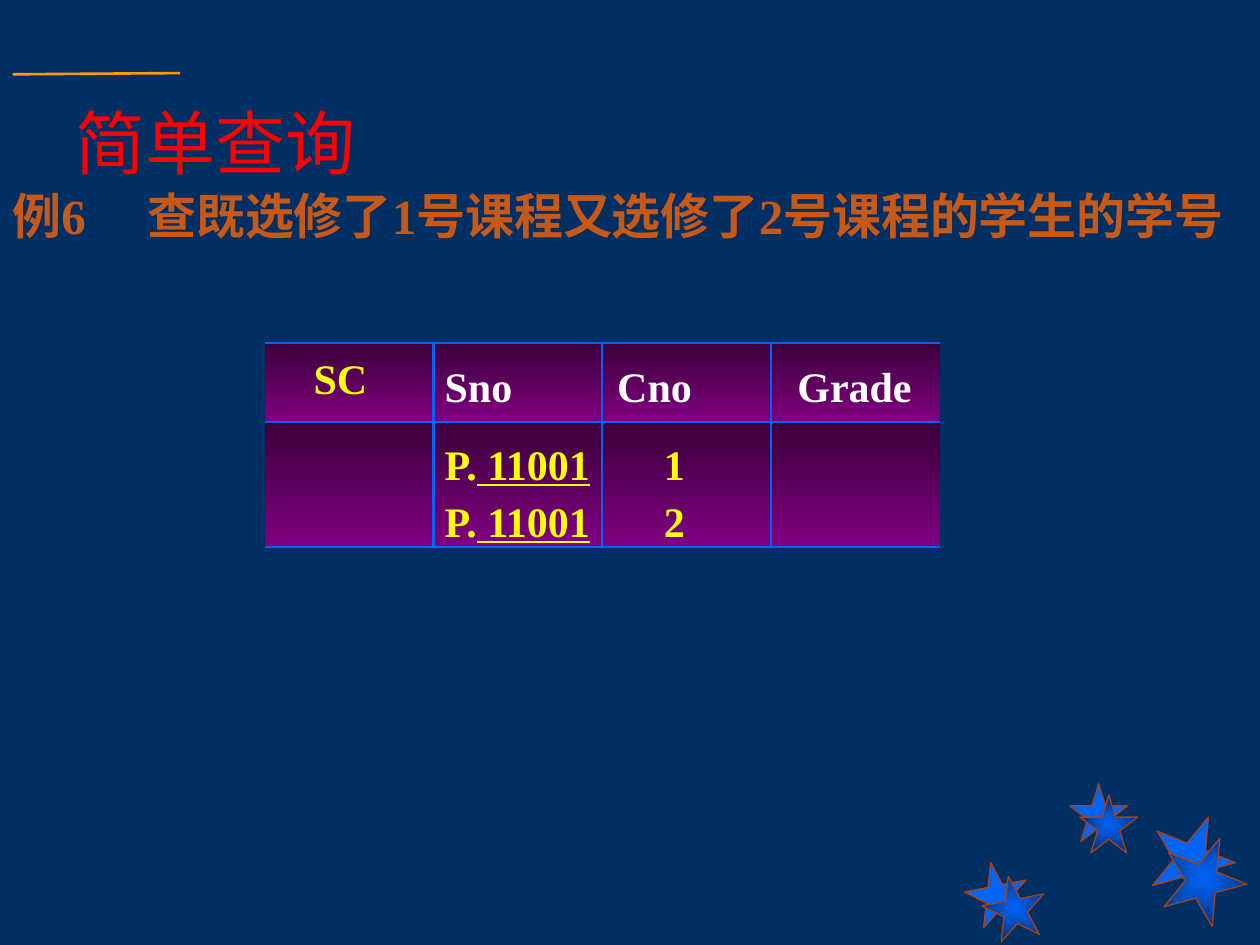
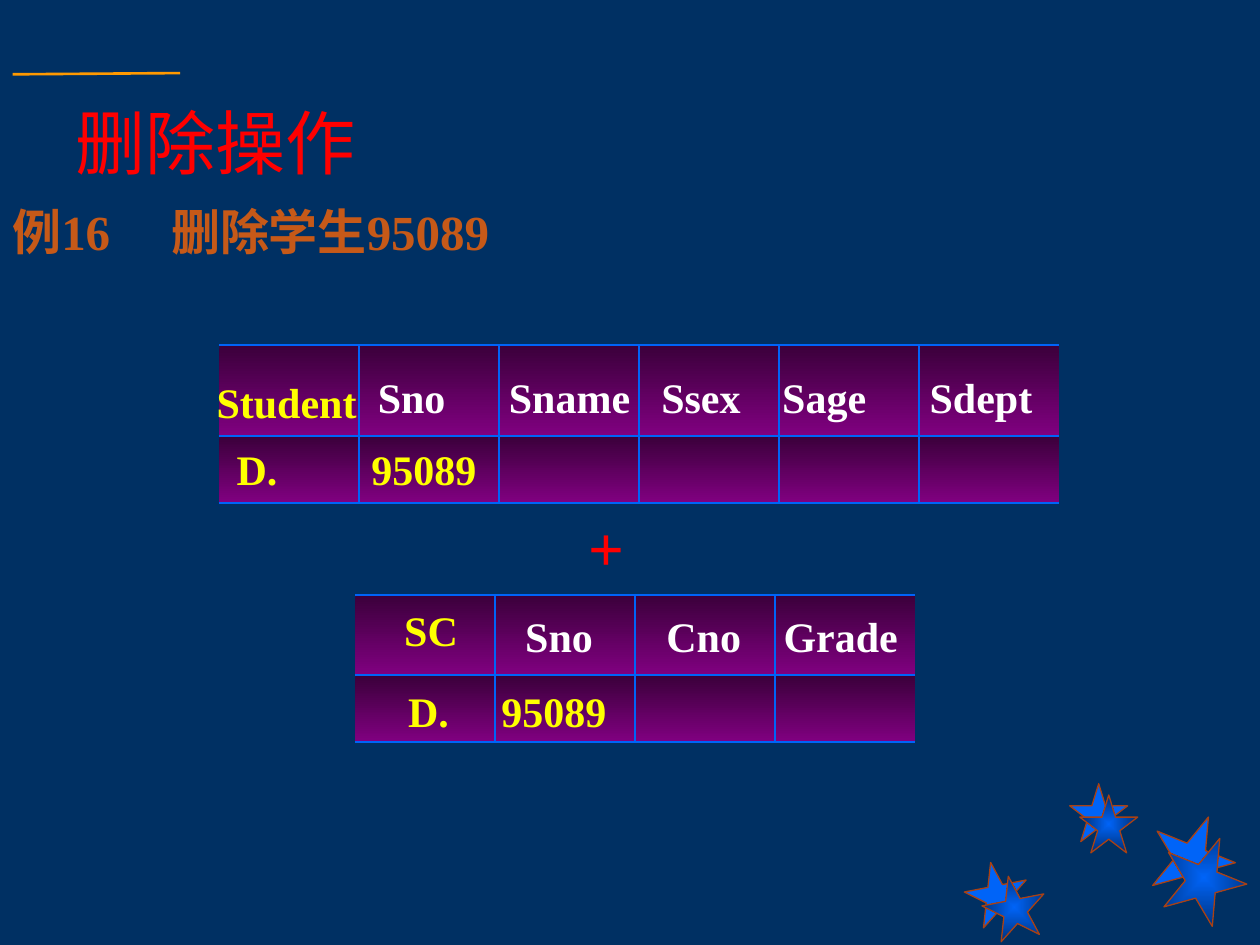
import pptx
import pptx.dml.color
import pptx.enum.shapes
import pptx.enum.text
import pptx.oxml
import pptx.oxml.ns
import pptx.util
from dataclasses import dataclass

COLUMNS, ROWS = 100, 75  # grid over the whole slide


@dataclass(frozen=True)
class Theme:
    font: str = "Times New Roman"
    background: str = "003063"
    title: str = "FF0000"
    example: str = "C65918"
    field: str = "FFFFFF"
    entry: str = "FFFF00"
    blue: str = "0064F8"
    star_edge: str = "002E72"
    star_outline: str = "A94113"
    rule: str = "FF9900"
    cell_top: str = "3B003B"
    cell_bottom: str = "800080"
    title_size: int = 40
    plus_size: int = 36
    example_size: int = 28
    table_size: int = 24
    star_line: float = 0.75
    rule_line: float = 1.5
    border: float = 1.47


def rgb(color):
    return pptx.dml.color.RGBColor.from_string(color)


def drawing_xml(tag, content="", attributes=""):
    """Build one DrawingML element."""
    namespace = pptx.oxml.ns.nsdecls("a")
    return pptx.oxml.parse_xml(f"<a:{tag} {namespace} {attributes}>{content}</a:{tag}>")


def gradient(start, end, direction):
    stops = "".join(
        f'<a:gs pos="{position}"><a:srgbClr val="{color}"/></a:gs>'
        for position, color in ((0, start), (100000, end)))
    return drawing_xml("gradFill", f"<a:gsLst>{stops}</a:gsLst>{direction}")


DOWNWARD = '<a:lin ang="5400000" scaled="0"/>'
FROM_CENTRE = ('<a:path path="rect"><a:fillToRect l="50000" t="50000" '
               'r="50000" b="50000"/></a:path>')


class Deck:
    def __init__(self, theme):
        self.theme = theme
        self.presentation = pptx.Presentation()
        self.presentation.slide_width = pptx.util.Inches(10)
        self.presentation.slide_height = pptx.util.Inches(7.5)
        self.slide = None
        fill = self.presentation.slide_master.background.fill
        fill.solid()
        fill.fore_color.rgb = rgb(theme.background)

    def x(self, columns):
        return round(self.presentation.slide_width * columns / COLUMNS)

    def y(self, rows):
        return round(self.presentation.slide_height * rows / ROWS)

    def box(self, left, top, width, height):
        return self.x(left), self.y(top), self.x(width), self.y(height)

    def add_runs(self, paragraph, runs, size, color, bold=True):
        """Runs are plain text or (text, underlined) pairs."""
        for part in [runs] if isinstance(runs, str) else runs:
            text, underlined = (part, False) if isinstance(part, str) else part
            run = paragraph.add_run()
            run.text = text
            run.font.color.rgb = rgb(color)
            style = {"name": self.theme.font, "size": pptx.util.Pt(size),
                     "bold": bold, "underline": underlined}
            for name, value in style.items():
                setattr(run.font, name, value)

    # Slide with its title and the short rule above it
    def new_slide(self, title):
        theme = self.theme
        self.slide = self.presentation.slides.add_slide(
            self.presentation.slide_layouts[5])
        shape = self.slide.shapes.title
        place = zip(("left", "top", "width", "height"), self.box(5, 6, 95, 10.4))
        for name, value in place:
            setattr(shape, name, value)
        frame_style = {"vertical_anchor": pptx.enum.text.MSO_ANCHOR.MIDDLE,
                       "auto_size": pptx.enum.text.MSO_AUTO_SIZE.NONE,
                       "word_wrap": True}
        for name, value in frame_style.items():
            setattr(shape.text_frame, name, value)
        paragraph = shape.text_frame.paragraphs[0]
        paragraph.alignment = pptx.enum.text.PP_ALIGN.LEFT
        self.add_runs(paragraph, title, theme.title_size, theme.title, bold=False)

        rule = self.slide.shapes.add_connector(
            pptx.enum.shapes.MSO_CONNECTOR.STRAIGHT,
            self.x(1), self.y(5.9), self.x(14.3), self.y(5.8))
        rule.line.color.rgb = rgb(theme.rule)
        rule.line.width = pptx.util.Pt(theme.rule_line)
        rule.element.xpath("p:spPr")[0].append(drawing_xml("effectLst"))

    # Star, moved to the slide master so that every slide shows it
    def master_star(self, number, left, top, size, rotation, shaded):
        theme = self.theme
        star = self.slide.shapes.add_shape(
            pptx.enum.shapes.MSO_SHAPE.STAR_5_POINT, *self.box(left, top, size, size))
        star.rotation = rotation
        star.shadow.inherit = False
        star.line.color.rgb = rgb(theme.star_outline)
        star.line.width = pptx.util.Pt(theme.star_line)
        if shaded:
            star.fill.background()
            empty = star.element.xpath("p:spPr/a:noFill")[0]
            empty.getparent().replace(
                empty, gradient(theme.blue, theme.star_edge, FROM_CENTRE))
        else:
            star.fill.solid()
            star.fill.fore_color.rgb = rgb(theme.blue)
        star.element.xpath(".//p:cNvPr")[0].set("id", str(100 + number))
        self.presentation.slide_master.shapes.element.append(star.element)

    # Text box; tabs are grid columns measured from the start of the text
    def text(self, runs, place, color, size=None, tabs=(), wrap=True, spacing=None):
        shape = self.slide.shapes.add_textbox(*self.box(*place))
        shape.text_frame.word_wrap = wrap
        shape.text_frame.auto_size = pptx.enum.text.MSO_AUTO_SIZE.SHAPE_TO_FIT_TEXT
        paragraph = shape.text_frame.paragraphs[0]
        if tabs:
            stops = "".join(f'<a:tab pos="{self.x(tab)}" algn="l"/>' for tab in tabs)
            properties = shape.element.xpath(".//a:p")[0].get_or_add_pPr()
            properties.append(drawing_xml("tabLst", stops))
        if spacing:
            paragraph.line_spacing = spacing
        self.add_runs(paragraph, runs, size or self.theme.table_size, color)

    def example(self, text, place, tab):
        self.text(text, place, self.theme.example, self.theme.example_size, [tab])

    # Query grid with open left and right sides
    def grid(self, left, top, column_count, column_width, row_heights):
        theme = self.theme
        frame = self.slide.shapes.add_table(
            len(row_heights), column_count,
            *self.box(left, top, column_count * column_width, sum(row_heights)))
        table = frame.table
        table.first_row = table.horz_banding = False
        for column in table.columns:
            column.width = self.x(column_width)
        for row, height in zip(table.rows, row_heights):
            row.height = self.y(height)
        for cell in table.iter_cells():
            cell.fill.background()
        line = f'<a:solidFill><a:srgbClr val="{theme.blue}"/></a:solidFill>'
        width = f'w="{pptx.util.Pt(theme.border)}"'
        for index, properties in enumerate(frame.element.xpath(".//a:tcPr")):
            column = index % column_count
            open_sides = {"lnL": column == 0, "lnR": column == column_count - 1}
            empty = properties.xpath("a:noFill")[0]
            for side in ("lnL", "lnR", "lnT", "lnB"):
                content = "<a:noFill/>" if open_sides.get(side) else line
                empty.addprevious(drawing_xml(side, content, width))
            properties.replace(
                empty, gradient(theme.cell_top, theme.cell_bottom, DOWNWARD))


def add_stars(deck):
    # left, top, size, rotation of each pair, then the offset of its shaded star
    pairs = [(76.6, 68.4, 5, 349, 1.4, 1.1),
             (84.9, 62.2, 4.6, 0, 0.8, 0.9),
             (91.3, 64.6, 6.7, 22, 0.9, 1.7)]
    for number, (left, top, size, rotation, right, down) in enumerate(pairs):
        deck.master_star(number, left, top, size, rotation, shaded=False)
        deck.master_star(number + len(pairs), left + right, top + down,
                         size, rotation, shaded=True)


def simple_query(deck):
    theme = deck.theme
    deck.new_slide("简单查询")
    add_stars(deck)
    deck.example("例6\t查既选修了1号课程又选修了2号课程的学生的学号",
                 (0, 14.2, 100, 10.4), 10.7)
    deck.grid(21, 27.2, 4, 13.4, (6.3, 9.9))
    deck.text("SC", (23.9, 27.5, 7.1, 5), theme.entry, wrap=False)
    deck.text("Sno\tCno\tGrade", (34.3, 28.1, 41.1, 5), theme.field, tabs=(13.7, 28))
    for course, top in (("1", 34.3), ("2", 38.8)):
        deck.text(["P.", (" 11001", True), f"\t{course}"],
                  (34.3, top, 30, 5), theme.entry, tabs=[17.4])


def delete_operation(deck):
    theme = deck.theme
    deck.new_slide("删除操作")
    deck.example("例16\t删除学生95089", (0, 15.5, 40.6, 10.4), 12.6)

    # Student table
    deck.grid(17.4, 27.4, 6, 11.11, (7.2, 5.3))
    deck.text("Student", (16.2, 29.4, 13.9, 5), theme.entry, wrap=False)
    deck.text("Sno\tSname\tSsex\tSage\tSdept", (29, 29, 54.8, 5), theme.field,
              tabs=(10.4, 22.5, 32.1, 43.8))
    deck.text("D.\t95089", (17.8, 33.3, 35.6, 6.4), theme.entry,
              tabs=[10.7], spacing=1.35)

    deck.text("+", (45.7, 39.9, 4.8, 7), theme.title, theme.plus_size, wrap=False)

    # SC table
    deck.grid(28.2, 47.2, 4, 11.11, (6.4, 5.3))
    deck.text("SC", (31.1, 47.5, 7.1, 5), theme.entry, wrap=False)
    deck.text("Sno\tCno\tGrade", (40.7, 48, 32.2, 5), theme.field, tabs=(11.2, 20.5))
    deck.text("D.\t95089", (31.4, 52.5, 19.3, 6.4), theme.entry,
              tabs=[7.4], spacing=1.35)


def main():
    deck = Deck(Theme())
    simple_query(deck)
    delete_operation(deck)
    deck.presentation.save("out.pptx")


if __name__ == "__main__":
    main()
